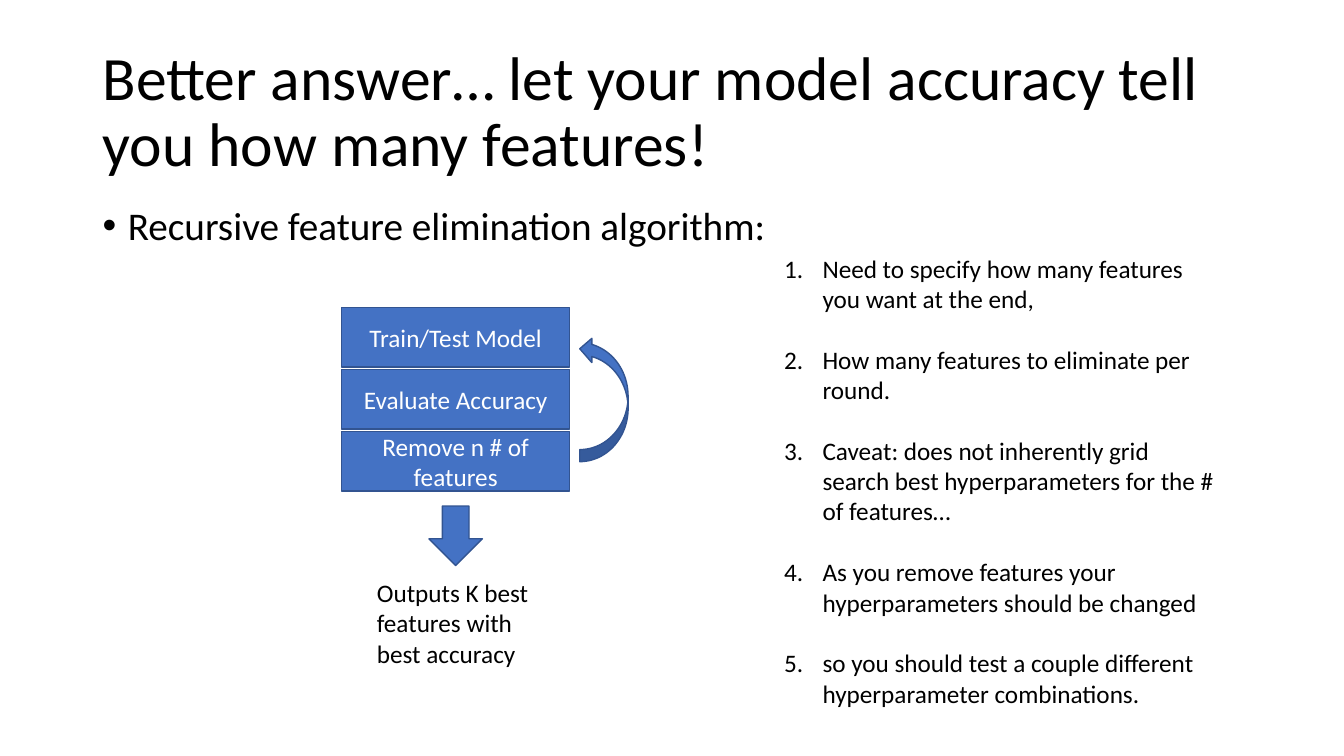
import pptx
import pptx.util
import pptx.dml.color
import pptx.enum.shapes
import pptx.enum.text
import pptx.oxml.ns
import lxml.etree

Inches = pptx.util.Inches
Pt = pptx.util.Pt
SHAPE = pptx.enum.shapes.MSO_SHAPE
ANCHOR = pptx.enum.text.MSO_ANCHOR
ALIGN = pptx.enum.text.PP_ALIGN

COLORS = {"text": "000000", "fill": "4472C4", "line": "325491", "label": "FFFFFF"}
FONT = "Calibri"

TITLE = "Better answer… let your model accuracy tell you how many features!"
SUBTITLE = "Recursive feature elimination algorithm:"
STEPS = ["Train/Test Model", "Evaluate Accuracy", "Remove n # of features"]
OUTPUT = "Outputs K best features with best accuracy"
NOTES = [
    "Need to specify how many features you want at the end,",
    "How many features to eliminate per round.",
    "Caveat: does not inherently grid search best hyperparameters for the # of features…",
    "As you remove features your hyperparameters should be changed",
    "so you should test a couple different hyperparameter combinations.",
]

STEP_LEFT, STEP_TOP, STEP_W, STEP_H, STEP_PITCH = 3.39, 3.05, 2.26, 0.59, 0.615
ARROW_W = 0.53


def rgb(name):
    return pptx.dml.color.RGBColor.from_string(COLORS[name])


def style(p, size, color):
    for r in p.runs:
        r.font.name = FONT
        r.font.size = Pt(size)
        r.font.color.rgb = rgb(color)


def add_text(s, box, lines, size, anchor=ANCHOR.TOP):
    tf = s.shapes.add_textbox(*map(Inches, box)).text_frame
    tf.word_wrap = True
    tf.vertical_anchor = anchor
    tf.text = "\n".join(lines)
    for p in tf.paragraphs:
        style(p, size, "text")
    return tf


def add_bullet(p, indent, tag, **attributes):
    pPr = p._p.get_or_add_pPr()
    pPr.set("marL", str(Inches(indent)))
    pPr.set("indent", str(-Inches(indent)))
    qn = pptx.oxml.ns.qn
    lxml.etree.SubElement(pPr, qn("a:buFont"), typeface="Arial" if tag == "buChar" else "+mj-lt")
    lxml.etree.SubElement(pPr, qn("a:" + tag), **attributes)


def add_block(s, kind, box):
    sp = s.shapes.add_shape(kind, *map(Inches, box))
    sp.shadow.inherit = False
    sp.fill.solid()
    sp.fill.fore_color.rgb = rgb("fill")
    sp.line.color.rgb = rgb("line")
    sp.line.width = Pt(1)
    return sp


prs = pptx.Presentation()
prs.slide_width = Inches(13.33)
prs.slide_height = Inches(7.5)
s = prs.slides.add_slide(prs.slide_layouts[6])

tf = add_text(s, (0.92, 0.4, 11.5, 1.45), [TITLE], 44, ANCHOR.MIDDLE)
tf.paragraphs[0].line_spacing = 0.9

tf = add_text(s, (0.92, 2, 11.5, 4.76), [SUBTITLE], 28)
p = tf.paragraphs[0]
p.line_spacing = 0.9
p.space_before = Pt(10)
add_bullet(p, 0.25, "buChar", char="•")

for i, step in enumerate(STEPS):
    sp = add_block(s, SHAPE.RECTANGLE, (STEP_LEFT, STEP_TOP + i * STEP_PITCH, STEP_W, STEP_H))
    tf = sp.text_frame
    tf.word_wrap = True
    tf.vertical_anchor = ANCHOR.MIDDLE
    tf.text = step
    p = tf.paragraphs[0]
    p.alignment = ALIGN.CENTER
    style(p, 18, "label")

loop = add_block(s, SHAPE.CURVED_UP_ARROW, (5.37, 3.72, 1.24, 0.48))
loop.rotation = 270
add_block(s, SHAPE.DOWN_ARROW, (STEP_LEFT + (STEP_W - ARROW_W) / 2, 5.02, ARROW_W, STEP_H))

add_text(s, (3.64, 5.68, 1.77, 1.01), [OUTPUT], 18)

tf = add_text(s, (7.68, 2.46, 4.47, 4.64), NOTES, 18)
for i, p in enumerate(tf.paragraphs):
    if i:
        p.space_before = Pt(21.9)
    add_bullet(p, 0.38, "buAutoNum", type="arabicPeriod")

prs.save("out.pptx")
